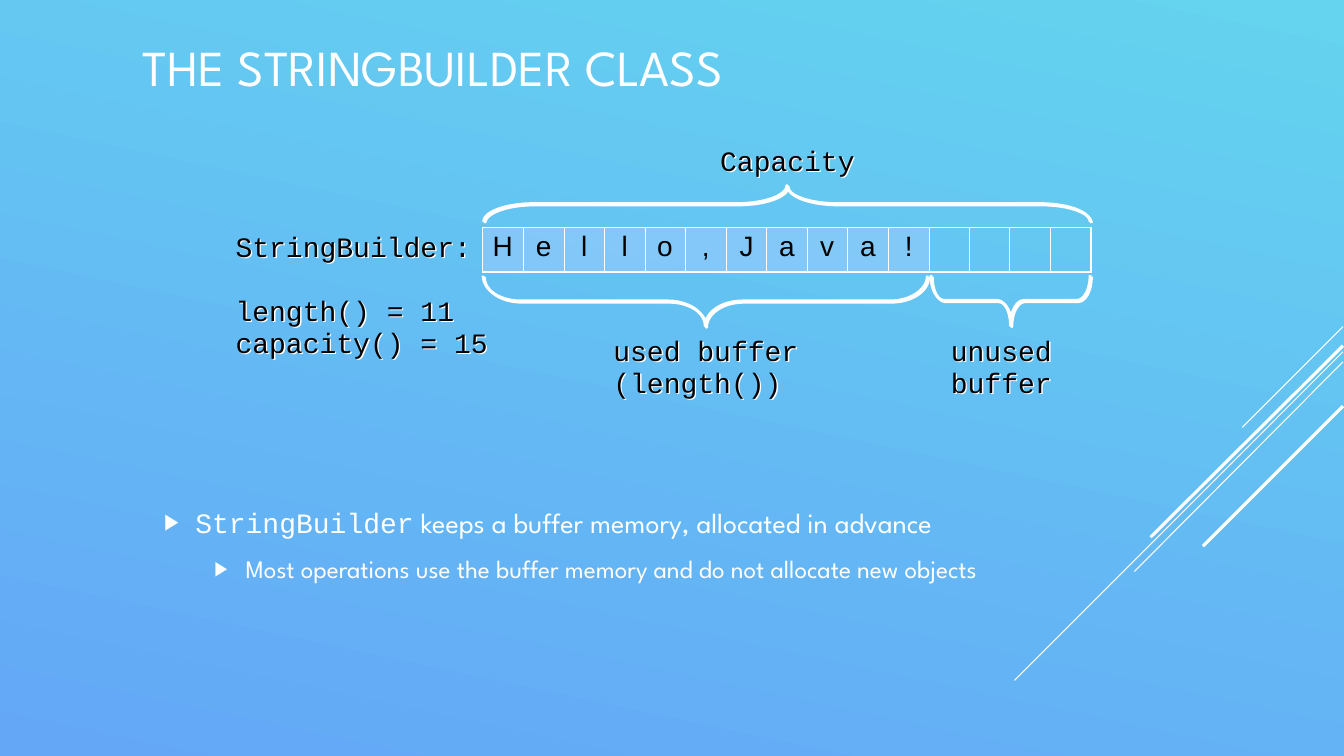
"""Build the StringBuilder buffer slide."""
from dataclasses import dataclass

from lxml import etree
from pptx import Presentation
from pptx.dml.color import RGBColor
from pptx.enum.shapes import MSO_CONNECTOR, MSO_SHAPE
from pptx.enum.text import MSO_ANCHOR, MSO_AUTO_SIZE, PP_ALIGN
from pptx.oxml.ns import qn
from pptx.util import Emu, Pt

LEFT_BRACE = MSO_SHAPE.LEFT_BRACE
STRAIGHT = MSO_CONNECTOR.STRAIGHT
MIDDLE, TOP = MSO_ANCHOR.MIDDLE, MSO_ANCHOR.TOP
NO_GROW = MSO_AUTO_SIZE.NONE
CENTER = PP_ALIGN.CENTER

WHITE = RGBColor(0xFF, 0xFF, 0xFF)
BLACK = RGBColor(0x00, 0x00, 0x00)
AQUA = RGBColor(0x64, 0xD4, 0xEF)
BLUE = RGBColor(0x64, 0xA7, 0xF7)
PALE = RGBColor(0xA3, 0xCD, 0xFF)

SANS, MONO, ARIAL = "League Spartan", "Courier New", "Arial"
SCALE = 9144
WORD, SLOTS = "Hello,Java!", 15
THIN, THICK = 0.45, 1.08


@dataclass(frozen=True)
class Box:
    """Place and size in px."""
    x: int
    y: int
    w: int
    h: int


@dataclass(frozen=True)
class Run:
    """Text in one font."""
    text: str
    font: str
    size: int
    color: RGBColor


@dataclass(frozen=True)
class Para:
    """Runs with spacing and a bullet indent in px."""
    runs: tuple[Run, ...]
    before: float = 0
    after: float = 0
    ratio: float = 1.0
    level: int = 0
    indent: int = 0


@dataclass(frozen=True)
class Brace:
    """A turned brace and its curve ratio."""
    box: Box
    turn: int
    curve: float


@dataclass(frozen=True)
class Streak:
    """A rising line from the right edge."""
    y: int
    end_x: int
    end_y: int
    width: float


GRID = Box(479, 226, 604, 44)
STREAKS = (
    Streak(324, 1233, 424, 0.75),
    Streak(349, 1007, 675, 0.75),
    Streak(359, 1126, 567, 0.75),
    Streak(343, 1142, 533, 2.25),
    Streak(403, 1194, 542, 2.25),
)
BRACES = (
    Brace(Box(675, 78, 50, 441), 270, 0.74),
    Brace(Box(978, 219, 50, 158), 270, 0.26),
    Brace(Box(763, -99, 36, 602), 90, 1.39),
)


def label(text: str, before: float = 0) -> Para:
    """Make a line of black code text."""
    return Para((Run(text, MONO, 20, BLACK),), before, ratio=0.95)


LABELS = (
    (Box(224, 225, 280, 137), (label("StringBuilder:"),
                               label("length() = 11", 23),
                               label("capacity() = 15"))),
    (Box(599, 328, 214, 74), (label("used buffer"), label("(length())"))),
    (Box(934, 328, 130, 74), (label("unused"), label("buffer"))),
    (Box(705, 140, 163, 42), (label("Capacity"),)),
)
TITLE = (Para((Run("THE STRINGBUILDER CLASS", SANS, 36, WHITE),)),)
POINTS = (
    Para((Run("StringBuilder", MONO, 20, WHITE),
          Run(" keeps a buffer memory, allocated in advance", SANS, 20, WHITE)),
         after=6, indent=31),
    Para((Run("Most operations use the buffer memory and do not allocate new objects",
              SANS, 18, WHITE),),
         before=4.5, after=6, level=1, indent=81),
)


def px(size: int) -> Emu:
    """Turn px into EMU."""
    return Emu(size * SCALE)


def place(box: Box) -> tuple[Emu, ...]:
    """Give the box in EMU."""
    return px(box.x), px(box.y), px(box.w), px(box.h)


def node(parent, tag: str, **attrs):
    """Add an XML child."""
    return etree.SubElement(parent, qn(tag), attrs)


def shade(shape) -> None:
    """Give a shape a hard white shadow."""
    shape.shadow.inherit = False
    effects = shape._element.spPr.find(qn("a:effectLst"))
    outer = node(effects, "a:outerShdw", blurRad="0", dist=str(Pt(1.4)),
                 dir="2700000", algn="ctr", rotWithShape="0")
    node(outer, "a:srgbClr", val=str(WHITE))


def add_run(line, run: Run) -> None:
    """Add one run to a paragraph."""
    part = line.add_run()
    part.text = run.text
    part.font.name = run.font
    part.font.size = Pt(run.size)
    part.font.color.rgb = run.color


def add_bullet(line, indent: int) -> None:
    """Hang a white arrow before a paragraph."""
    props = line._p.get_or_add_pPr()
    props.set("marL", str(px(indent)))
    props.set("indent", str(px(-31)))
    node(node(props, "a:buClr"), "a:srgbClr", val=str(WHITE))
    node(props, "a:buSzPct", val="80000")
    node(props, "a:buFont", typeface=ARIAL)
    node(props, "a:buChar", char="▶")


def add_text(slide, box: Box, paras: tuple[Para, ...], anchor: MSO_ANCHOR):
    """Add a wrapped text box of fixed size."""
    shape = slide.shapes.add_textbox(*place(box))
    frame = shape.text_frame
    frame.word_wrap = True
    frame.auto_size = NO_GROW
    frame.vertical_anchor = anchor
    for i, para in enumerate(paras):
        line = frame.add_paragraph() if i else frame.paragraphs[0]
        line.level = para.level
        line.line_spacing = para.ratio
        line.space_before = Pt(para.before)
        line.space_after = Pt(para.after)
        if para.indent:
            add_bullet(line, para.indent)
        for run in para.runs:
            add_run(line, run)
    return shape


def add_streak(slide, streak: Streak) -> None:
    """Draw one line at the right edge."""
    line = slide.shapes.add_connector(STRAIGHT, px(1333), px(streak.y),
                                      px(streak.end_x), px(streak.end_y))
    line.line.color.rgb = WHITE
    line.line.width = Pt(streak.width)
    node(line._element.spPr, "a:effectLst")


def add_brace(slide, brace: Brace) -> None:
    """Draw one brace."""
    shape = slide.shapes.add_shape(LEFT_BRACE, *place(brace.box))
    shape.rotation = brace.turn
    shape.adjustments[0] = brace.curve
    shape.fill.background()
    shape.line.color.rgb = WHITE
    shape.line.width = Pt(2)
    shade(shape)


def add_grid(slide) -> None:
    """Draw the buffer as a row of cells."""
    table = slide.shapes.add_table(1, SLOTS, *place(GRID)).table
    table.first_row = table.horz_banding = False
    edges = [round(i * GRID.w / SLOTS) for i in range(SLOTS + 1)]
    for i, char in enumerate(WORD.ljust(SLOTS)):
        table.columns[i].width = px(edges[i + 1] - edges[i])
        cell = table.cell(0, i)
        props = cell._tc.get_or_add_tcPr()
        sides = {"L": THIN if i else THICK,
                 "R": THIN if i < SLOTS - 1 else THICK, "T": THICK, "B": THICK}
        for side, width in sides.items():
            edge = node(props, f"a:ln{side}", w=str(Pt(width)))
            node(node(edge, "a:solidFill"), "a:srgbClr", val=str(WHITE))
        if i >= len(WORD):
            cell.fill.background()
            continue
        cell.fill.solid()
        cell.fill.fore_color.rgb = PALE
        node(props.find(qn("a:solidFill"))[0], "a:alpha", val="50000")
        line = cell.text_frame.paragraphs[0]
        line.alignment = CENTER
        line.line_spacing = 0.95
        add_run(line, Run(char, ARIAL, 20, BLACK))


def main() -> None:
    """Build and save the slide."""
    deck = Presentation()
    deck.slide_width, deck.slide_height = px(1334), px(750)
    slide = deck.slides.add_slide(deck.slide_layouts[6])
    fill = slide.background.fill
    fill.gradient()
    fill.gradient_angle = 258
    for stop, color in zip(fill.gradient_stops, (AQUA, BLUE)):
        stop.color.rgb = color
    for streak in STREAKS:
        add_streak(slide, streak)
    add_text(slide, Box(132, 18, 933, 96), TITLE, MIDDLE)
    add_text(slide, Box(153, 402, 929, 276), POINTS, MIDDLE)
    add_grid(slide)
    for brace in BRACES:
        add_brace(slide, brace)
    for box, paras in LABELS:
        shade(add_text(slide, box, paras, TOP))
    deck.save("out.pptx")


if __name__ == "__main__":
    main()
